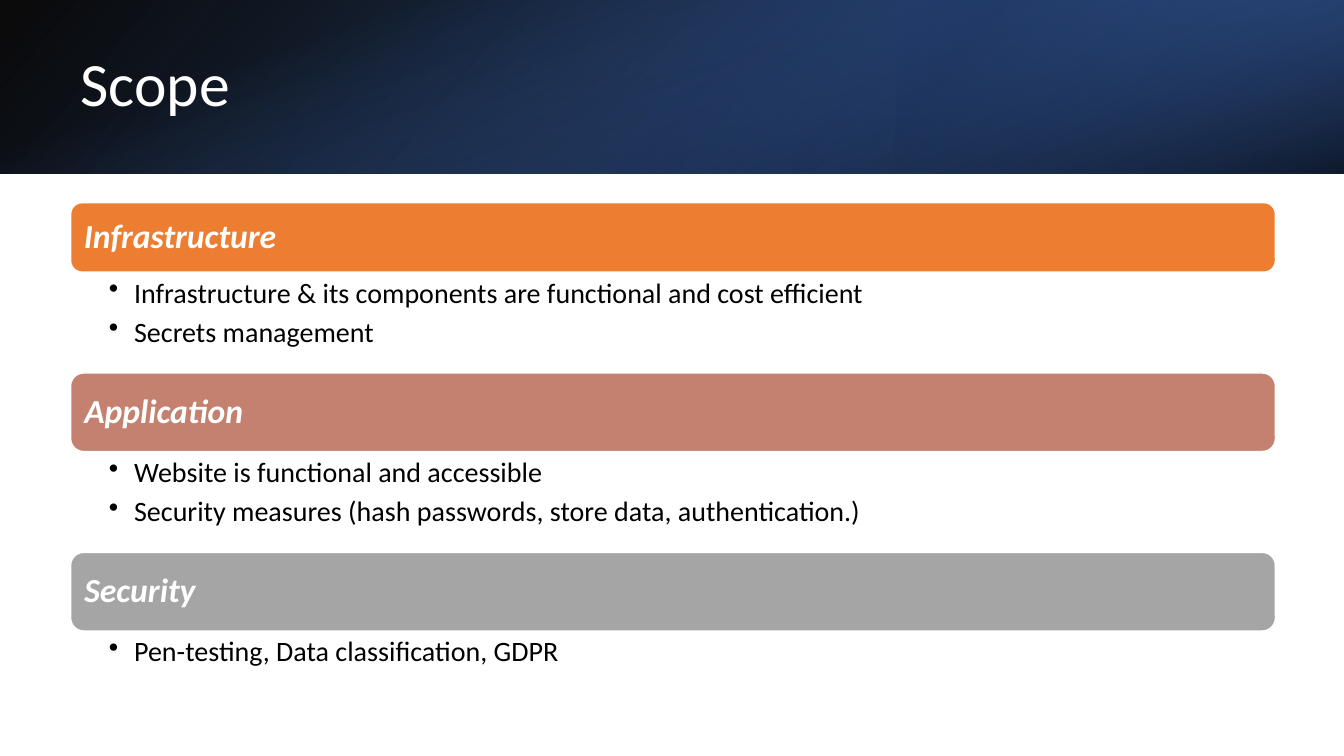
from pptx import Presentation, util as u
from pptx.dml.color import RGBColor
from pptx.enum import shapes, text
from pptx.oxml import parse_xml
from pptx.oxml.ns import nsdecls, qn

WIDTH, HEIGHT = 13.33, 7.5
BANNER = 1.72
FONT = "Calibri"
WHITE, BLACK = "FFFFFF", "000000"

TITLE = "Scope"
# heading, bar colour, bar height, points
SECTIONS = [
    ("Infrastructure", "ED7D31", 0.69,
     ["Infrastructure & its components are functional and cost efficient",
      "Secrets management"]),
    ("Application", "C48170", 0.78,
     ["Website is functional and accessible",
      "Security measures (hash passwords, store data, authentication.)"]),
    ("Security", "A5A5A5", 0.78,
     ["Pen-testing, Data classification, GDPR"]),
]
# left, top, width, height, rotation, mirrored, gradient angle,
# stops as (position %, colour, opacity %)
BANDS = [
    (0, 0, WIDTH, BANNER, 0, True, 140,
     [(0, BLACK, 96), (100, "2F5597", 100)]),
    (WIDTH * 2 / 3, 0, WIDTH / 3, BANNER, 180, True, 320,
     [(19, "203864", 68), (100, "4472C4", 79)]),
    ((WIDTH - BANNER) / 2, (BANNER - WIDTH) / 2, BANNER, WIDTH, 90, False, 340,
     [(23, "4472C4", 0), (99, BLACK, 74)]),
]
LEFT, FIRST_TOP = 0.7, 2.01
COLUMN = 11.95
POINTS_HEIGHT = 1.0


def color(hex_value):
    return RGBColor.from_string(hex_value)


def box(left, top, width, height):
    return [u.Inches(v) for v in (left, top, width, height)]


def style(paragraph, size, hex_value, emphasis=False):
    font = paragraph.font
    font.name, font.size = FONT, u.Pt(size)
    font.color.rgb = color(hex_value)
    font.bold = font.italic = emphasis
    paragraph.alignment = text.PP_ALIGN.LEFT


def set_insets(frame, left, top, right, bottom):
    frame.margin_left, frame.margin_top = u.Inches(left), u.Inches(top)
    frame.margin_right, frame.margin_bottom = u.Inches(right), u.Inches(bottom)
    frame.word_wrap = True


def fill_gradient(shape, angle, stops):
    marks = "".join(
        f'<a:gs pos="{pos * 1000}"><a:srgbClr val="{hex_value}">'
        f'<a:alpha val="{opacity * 1000}"/></a:srgbClr></a:gs>'
        for pos, hex_value, opacity in stops)
    gradient = parse_xml(
        f'<a:gradFill {nsdecls("a")} rotWithShape="1"><a:gsLst>{marks}</a:gsLst>'
        f'<a:lin ang="{angle * 60000}" scaled="0"/></a:gradFill>')
    shape.fill.background()
    properties = shape._element.spPr
    properties.replace(properties.find(qn("a:noFill")), gradient)


def add_band(slide, left, top, width, height, rotation, mirrored, angle, stops):
    band = slide.shapes.add_shape(
        shapes.MSO_SHAPE.RECTANGLE, *box(left, top, width, height))
    band.shadow.inherit = False
    band.line.fill.background()
    fill_gradient(band, angle, stops)
    band.rotation = rotation
    if mirrored:
        band._element.spPr.xfrm.set("flipH", "1")


def place_title(slide):
    title = slide.shapes.title
    title.left, title.top, title.width, title.height = box(LEFT, 0.38, 10.98, 0.96)
    title.text_frame.text = TITLE
    title.text_frame.vertical_anchor = text.MSO_ANCHOR.MIDDLE
    heading = title.text_frame.paragraphs[0]
    style(heading, 44, WHITE)
    heading.line_spacing = 0.9
    slide.shapes._spTree.append(title._element)  # in front of the bands


def add_bar(slide, top, height, heading, hex_value):
    bar = slide.shapes.add_shape(
        shapes.MSO_SHAPE.ROUNDED_RECTANGLE, *box(LEFT, top, COLUMN, height))
    bar.shadow.inherit = False
    bar.fill.solid()
    bar.fill.fore_color.rgb = color(hex_value)
    bar.line.color.rgb = color(WHITE)
    bar.line.width = u.Pt(1)
    frame = bar.text_frame
    set_insets(frame, 0.1, 0.1, 0.1, 0.1)
    frame.vertical_anchor = text.MSO_ANCHOR.MIDDLE
    frame.text = heading
    style(frame.paragraphs[0], 24, WHITE, emphasis=True)
    frame.paragraphs[0].line_spacing = 0.9


def add_points(slide, top, points):
    frame = slide.shapes.add_textbox(
        *box(LEFT, top, COLUMN, POINTS_HEIGHT)).text_frame
    set_insets(frame, 0.38, 0.03, 0.16, 0.03)
    frame.text = "\n".join(points)
    for point in frame.paragraphs:
        style(point, 20, BLACK)
        point.level = 1
        point.space_after = u.Pt(4)
        properties = point._p.get_or_add_pPr()
        properties.set("marL", str(u.Inches(0.25)))
        properties.set("indent", str(u.Inches(-0.25)))
        bullet = parse_xml(f'<a:buChar {nsdecls("a")} char="•"/>')
        properties.find(qn("a:defRPr")).addprevious(bullet)


def main():
    deck = Presentation()
    deck.slide_width, deck.slide_height = u.Inches(WIDTH), u.Inches(HEIGHT)
    slide = deck.slides.add_slide(deck.slide_layouts[5])
    for band in BANDS:
        add_band(slide, *band)
    place_title(slide)
    top = FIRST_TOP
    for heading, hex_value, bar_height, points in SECTIONS:
        add_bar(slide, top, bar_height, heading, hex_value)
        add_points(slide, top + bar_height, points)
        top += bar_height + POINTS_HEIGHT
    deck.save("out.pptx")


if __name__ == "__main__":
    main()
